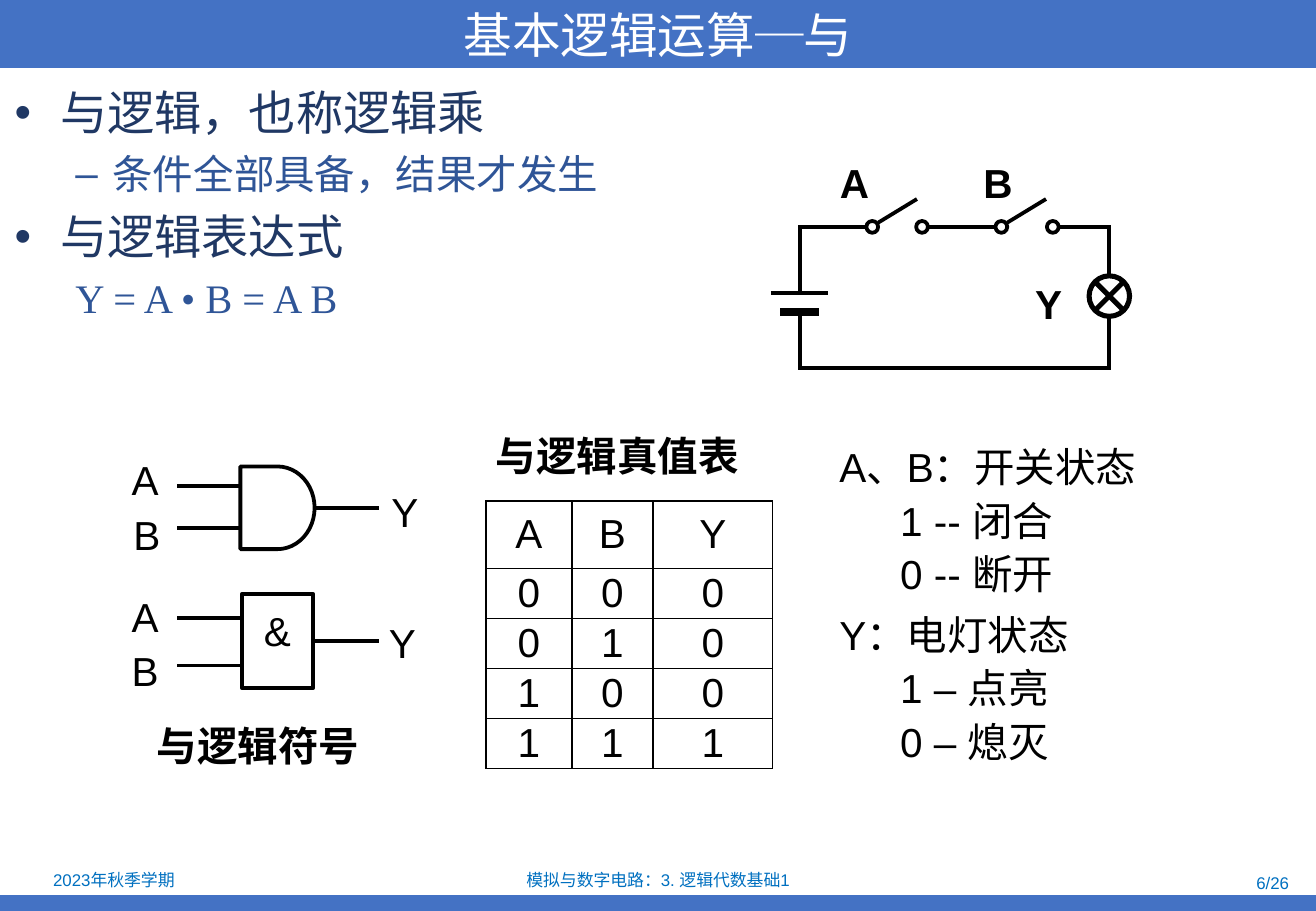
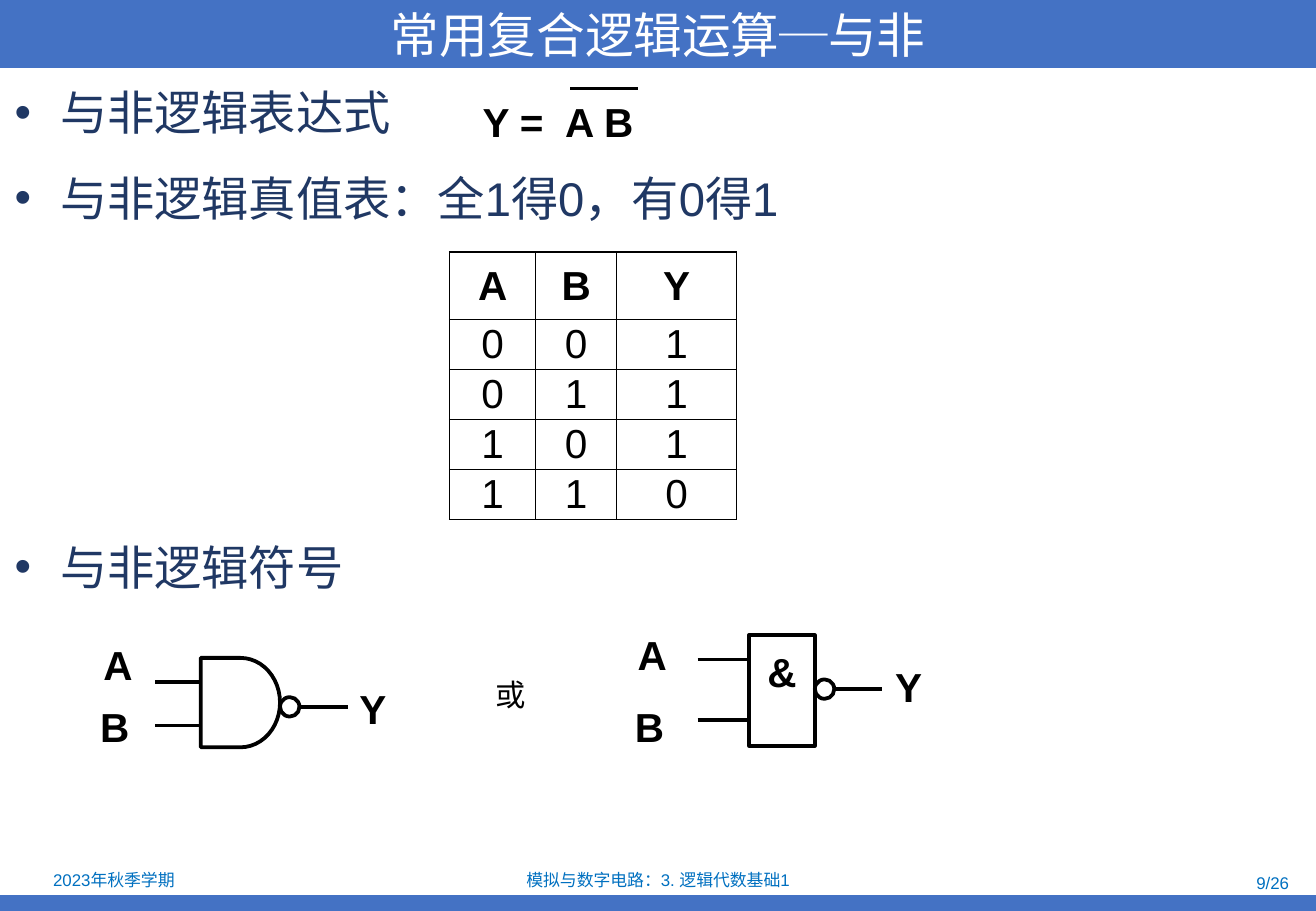
"""Build two slides on the AND and NAND logic operations."""
from dataclasses import dataclass

from lxml import etree
from pptx import Presentation
from pptx.dml.color import RGBColor
from pptx.enum.shapes import MSO_CONNECTOR, MSO_SHAPE
from pptx.enum.text import MSO_ANCHOR, MSO_AUTO_SIZE, PP_ALIGN
from pptx.oxml.ns import qn
from pptx.util import Pt

LEFT, CENTER, RIGHT = PP_ALIGN.LEFT, PP_ALIGN.CENTER, PP_ALIGN.RIGHT
TOP, MIDDLE = MSO_ANCHOR.TOP, MSO_ANCHOR.MIDDLE
NO_FIT = MSO_AUTO_SIZE.NONE
STRAIGHT = MSO_CONNECTOR.STRAIGHT
RECT, OVAL = MSO_SHAPE.RECTANGLE, MSO_SHAPE.OVAL
DELAY, LAMP = MSO_SHAPE.FLOWCHART_DELAY, MSO_SHAPE.FLOWCHART_SUMMING_JUNCTION


@dataclass(frozen=True)
class Theme:
    band: RGBColor = RGBColor(0x44, 0x72, 0xC4)
    footer: RGBColor = RGBColor(0x00, 0x70, 0xC0)
    white: RGBColor = RGBColor(0xFF, 0xFF, 0xFF)
    ink: RGBColor = RGBColor(0, 0, 0)
    bullets: tuple = (RGBColor(0x20, 0x38, 0x64), RGBColor(0x2F, 0x55, 0x97))
    bullet_sizes: tuple = (28, 24)
    title_size: float = 28.8
    text_size: float = 24
    note_size: float = 18
    footer_size: float = 10
    font: str = "Arial"
    serif: str = "Times New Roman"
    title_font: str = "Noto Sans CJK SC"
    stroke: float = 2.25
    heavy: float = 4.5


THEME = Theme()


def add_label(slide, text, left, top, width, height=26, size=THEME.text_size,
              color=THEME.ink, bold=False, align=CENTER, anchor=MIDDLE):
    box = slide.shapes.add_textbox(Pt(left), Pt(top), Pt(width), Pt(height))
    frame = box.text_frame
    frame.margin_left = frame.margin_top = frame.margin_right = frame.margin_bottom = 0
    frame.word_wrap = True
    frame.vertical_anchor = anchor
    frame.text = text
    for paragraph in frame.paragraphs:
        paragraph.alignment = align
        paragraph.font.name = THEME.font
        paragraph.font.size = Pt(size)
        paragraph.font.bold = bold
        paragraph.font.color.rgb = color
    return box


def add_wire(slide, x1, y1, x2, y2, width=THEME.stroke):
    wire = slide.shapes.add_connector(STRAIGHT, Pt(x1), Pt(y1), Pt(x2), Pt(y2))
    wire.line.color.rgb = THEME.ink
    wire.line.width = Pt(width)
    etree.SubElement(wire.element.spPr, qn("a:effectLst"))
    return wire


prs = Presentation()
prs.slide_width, prs.slide_height = Pt(780), Pt(540)
layout = prs.slide_layouts[1]
for placeholder in list(layout.placeholders):
    if placeholder.placeholder_format.idx >= 10:
        layout.shapes.element.remove(placeholder.element)

topics = [
    dict(title=("基本逻辑运算", "─", "与"), page="6/26", body_width=778, font=THEME.serif,
         bullets=[(0, "与逻辑，也称逻辑乘", True, 0),
                  (1, "条件全部具备，结果才发生", True, 5),
                  (0, "与逻辑表达式", True, 6),
                  (1, "Y = A • B = A B", False, 5)],
         table_at=(288, 297), outputs="0001", bold_head=False),
    dict(title=("常用复合逻辑运算", "─", "与非"), page="9/26", body_width=523, font=THEME.font,
         bullets=[(0, "与非逻辑表达式", True, 0),
                  (0, "与非逻辑真值表：全1得0，有0得1", True, 17),
                  (0, "与非逻辑符号", True, 185)],
         table_at=(266.5, 149.5), outputs="1110", bold_head=True),
]
BULLET_INDENTS = ((27, -27), (58, -22))
TABLE_COLUMNS = (51, 48, 71)
TABLE_ROWS = (40, 29.6, 29.6, 29.6, 29.6)

for topic in topics:
    slide = prs.slides.add_slide(layout)

    title = slide.shapes.title
    title.left, title.top, title.width, title.height = 0, 0, Pt(780), Pt(40.3)
    title.fill.solid()
    title.fill.fore_color.rgb = THEME.band
    title.text_frame.auto_size = NO_FIT
    title.text_frame.vertical_anchor = MIDDLE
    heading = title.text_frame.paragraphs[0]
    heading.alignment = CENTER
    heading.font.size = Pt(THEME.title_size)
    heading.font.color.rgb = THEME.white
    for part in topic["title"]:
        run = heading.add_run()
        run.text = part
        run.font.name = THEME.serif if part == "─" else THEME.title_font

    body = slide.placeholders[1]
    body.left, body.top = Pt(1.5), Pt(46)
    body.width, body.height = Pt(topic["body_width"]), Pt(468)
    body.text_frame.auto_size = NO_FIT
    body.text_frame.text = "\n".join(text for _, text, _, _ in topic["bullets"])
    for point, (level, _, marked, gap) in zip(body.text_frame.paragraphs, topic["bullets"]):
        point.level = level
        point.space_before = Pt(gap)
        margin, indent = BULLET_INDENTS[level]
        properties = point._p.get_or_add_pPr()
        properties.set("marL", str(Pt(margin)))
        properties.set("indent", str(Pt(indent)))
        if not marked:
            etree.SubElement(properties, qn("a:buNone"))
        point.font.name = topic["font"]
        point.font.size = Pt(THEME.bullet_sizes[level])
        point.font.color.rgb = THEME.bullets[level]

    if topic is topics[0]:
        band = slide.shapes.add_shape(RECT, 0, Pt(530.6), Pt(780), Pt(9.4))
        band.shadow.inherit = False
        band.fill.solid()
        band.fill.fore_color.rgb = THEME.band
        band.line.fill.background()
        term = add_label(slide, "2023年秋季学期", 1, 513, 133, 17,
                         THEME.footer_size, THEME.footer)
        course = add_label(slide, "模拟与数字电路：3. 逻辑代数基础1", 266, 514, 248, 15,
                           THEME.footer_size, THEME.footer)
        for shared in (band, term, course):
            layout.shapes.element.append(shared.element)
    add_label(slide, topic["page"], 589, 515.5, 175, 15, THEME.footer_size, THEME.footer,
              align=RIGHT)

    left, top = topic["table_at"]
    truth = slide.shapes.add_table(5, 3, Pt(left), Pt(top), Pt(sum(TABLE_COLUMNS)),
                                   Pt(sum(TABLE_ROWS))).table
    truth.first_row = truth.horz_banding = False
    for column, width in zip(truth.columns, TABLE_COLUMNS):
        column.width = Pt(width)
    inputs = ("00", "01", "10", "11")
    rows = ["ABY"] + [pair + output for pair, output in zip(inputs, topic["outputs"])]
    for r, values in enumerate(rows):
        truth.rows[r].height = Pt(TABLE_ROWS[r])
        for c, value in enumerate(values):
            cell = truth.cell(r, c)
            cell.margin_left = cell.margin_top = cell.margin_right = cell.margin_bottom = 0
            cell.vertical_anchor = MIDDLE
            cell.fill.background()
            cell.text = value
            entry = cell.text_frame.paragraphs[0]
            entry.alignment = CENTER
            entry.font.name = THEME.font
            entry.font.size = Pt(THEME.text_size)
            entry.font.bold = r == 0 and topic["bold_head"]
            entry.font.color.rgb = THEME.ink
            cell_properties = cell._tc.get_or_add_tcPr()
            for place, side in enumerate(("a:lnL", "a:lnR", "a:lnT", "a:lnB")):
                border = etree.Element(qn(side), w=str(Pt(1)))
                paint = etree.SubElement(border, qn("a:solidFill"))
                etree.SubElement(paint, qn("a:srgbClr"), val=str(THEME.ink))
                cell_properties.insert(place, border)

and_slide, nand_slide = prs.slides
outlined = []

gates = [
    dict(slide=and_slide, kind=DELAY, sign="", body=(142.5, 276.5, 44, 49), start=105,
         inputs=(288, 313), end=224.5, letters=((86, 284), (87, 317), (240, 303))),
    dict(slide=and_slide, kind=RECT, sign="&", body=(143.5, 352, 42, 56), start=105,
         inputs=(366.5, 394.5), end=224.5, letters=((86, 365), (86, 397.5), (238.5, 381))),
    dict(slide=nand_slide, kind=DELAY, sign="", body=(119, 390, 47, 53), start=92,
         inputs=(404.5, 430), end=206.5, bubble_y=419,
         letters=((70, 394), (68, 430.5), (221, 420))),
    dict(slide=nand_slide, kind=RECT, sign="&", body=(444, 376.5, 39, 65.5), start=413.5,
         inputs=(391, 427), end=522.5, bubble_y=408.5,
         letters=((386.5, 388), (385, 430.5), (538.5, 407))),
]
BUBBLE = 11.5

for gate in gates:
    slide = gate["slide"]
    negated = "bubble_y" in gate
    left, top, width, height = gate["body"]
    body = slide.shapes.add_shape(gate["kind"], Pt(left), Pt(top), Pt(width), Pt(height))
    outlined.append((body, THEME.stroke, False))
    if gate["sign"]:
        frame = body.text_frame
        frame.margin_left = frame.margin_right = frame.margin_bottom = 0
        frame.margin_top = Pt(7)
        frame.vertical_anchor = TOP
        frame.text = gate["sign"]
        sign = frame.paragraphs[0]
        sign.alignment = CENTER
        sign.font.name = THEME.font
        sign.font.size = Pt(THEME.text_size)
        sign.font.bold = negated
        sign.font.color.rgb = THEME.ink
    for y in gate["inputs"]:
        add_wire(slide, gate["start"], y, left, y)
    out_x, out_y = left + width, gate.get("bubble_y", top + height / 2)
    if negated:
        bubble = slide.shapes.add_shape(OVAL, Pt(out_x), Pt(out_y - BUBBLE / 2),
                                        Pt(BUBBLE), Pt(BUBBLE))
        outlined.append((bubble, THEME.stroke, True))
        add_wire(slide, out_x + BUBBLE, out_y, gate["end"], out_y)
    else:
        add_wire(slide, out_x, out_y, gate["end"], out_y).begin_connect(body, 3)
    for letter, (x, y) in zip("ABY", gate["letters"]):
        add_label(slide, letter, x - 12, y - 13, 24, bold=negated)

battery_x, lamp_x, top_y, bottom_y = 474, 657.5, 134.5, 218
plate_y, thick_plate_y = 173.5, 185
lamp_top, lamp_size = 163.5, 24
terminal = 7
switches = ((513.5, 543), (590, 620.5))

wire_start = battery_x - 1
for closed_end, open_end in switches:
    add_wire(and_slide, wire_start, top_y, closed_end, top_y)
    add_wire(and_slide, closed_end + terminal, 132, closed_end + 30, 118)
    for x in (closed_end, open_end):
        contact = and_slide.shapes.add_shape(OVAL, Pt(x), Pt(top_y - terminal / 2),
                                             Pt(terminal), Pt(terminal))
        outlined.append((contact, THEME.stroke, False))
    wire_start = open_end + terminal

for x1, y1, x2, y2 in (
    (wire_start, top_y, lamp_x + 1, top_y),
    (lamp_x, top_y, lamp_x, lamp_top),
    (lamp_x, lamp_top + lamp_size, lamp_x, bottom_y),
    (lamp_x + 1, bottom_y, battery_x - 1, bottom_y),
    (battery_x, top_y, battery_x, plate_y),
    (battery_x, thick_plate_y, battery_x, bottom_y),
    (battery_x - 17, plate_y, battery_x + 17, plate_y),
):
    add_wire(and_slide, x1, y1, x2, y2)
add_wire(and_slide, battery_x - 11.5, thick_plate_y, battery_x + 11.5, thick_plate_y,
         THEME.heavy)
lamp = and_slide.shapes.add_shape(LAMP, Pt(lamp_x - lamp_size / 2), Pt(lamp_top),
                                  Pt(lamp_size), Pt(lamp_size))
outlined.append((lamp, 3, False))
for letter, x, y in (("A", 506.5, 108), ("B", 591.5, 108), ("Y", 621.5, 180)):
    add_label(and_slide, letter, x - 12, y - 13, 24, bold=True)

for symbol, width, filled in outlined:
    symbol.shadow.inherit = False
    symbol.line.color.rgb = THEME.ink
    symbol.line.width = Pt(width)
    if filled:
        symbol.fill.solid()
        symbol.fill.fore_color.rgb = THEME.white
    else:
        symbol.fill.background()

add_label(and_slide, "与逻辑真值表", 294, 252, 150, 36, bold=True, align=LEFT)
add_label(and_slide, "与逻辑符号", 93, 427, 125, 30, bold=True, align=LEFT)
legend = add_label(
    and_slide, "A、B：开关状态\n1 -- 闭合\n0 -- 断开\nY：电灯状态\n1 – 点亮\n0 – 熄灭",
    497.5, 262, 181.5, 197, align=LEFT, anchor=TOP)
for line in legend.text_frame.paragraphs:
    line.space_after = Pt(3)
    if line.text.startswith("Y"):
        line.space_before = Pt(4)
    elif not line.text.startswith("A"):
        line.level = 1
        line._p.get_or_add_pPr().set("marL", str(Pt(36)))

formula = add_label(nand_slide, "Y =\tA B", 286, 59, 173, bold=True, align=LEFT)
tabs = etree.Element(qn("a:tabLst"))
etree.SubElement(tabs, qn("a:tab"), pos=str(Pt(49)), algn="l")
formula.text_frame.paragraphs[0]._p.get_or_add_pPr().insert(0, tabs)
add_wire(nand_slide, 338, 52.5, 378, 52.5)
add_label(nand_slide, "或", 294, 397, 20, 29, THEME.note_size, align=LEFT)

prs.save("out.pptx")
